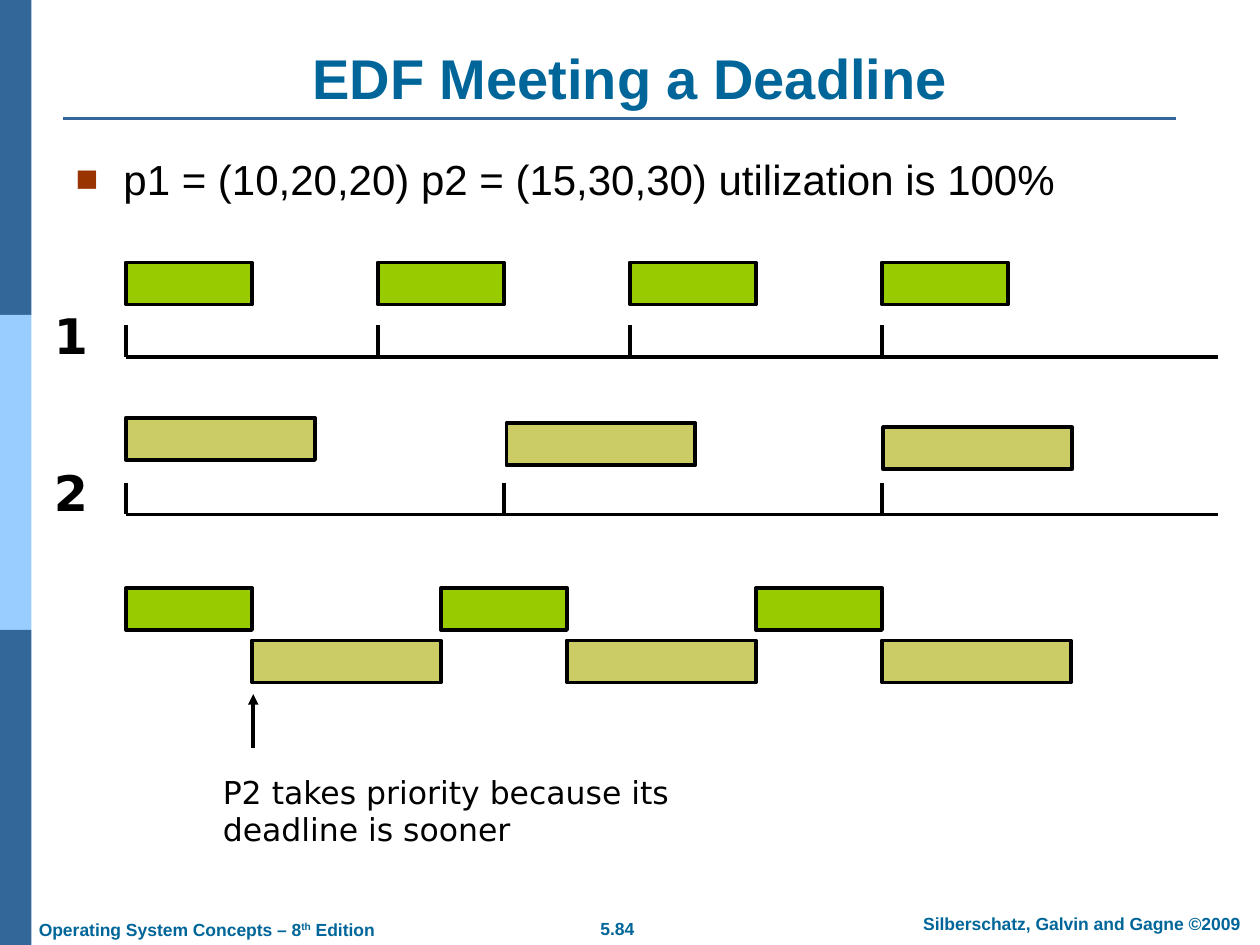
import pptx
import pptx.util
import pptx.dml.color
import pptx.enum.shapes
import pptx.enum.text
import pptx.oxml.ns
from dataclasses import dataclass
from lxml import etree

Inches = pptx.util.Inches
Pt = pptx.util.Pt
ALIGN = pptx.enum.text.PP_ALIGN
ANCHOR = pptx.enum.text.MSO_ANCHOR
qn = pptx.oxml.ns.qn


@dataclass(frozen=True)
class Theme:
    blue: str = "336699"
    sky: str = "99CCFF"
    teal: str = "006699"
    rust: str = "993300"
    green: str = "99CC00"
    khaki: str = "CCCC66"
    black: str = "000000"
    sans: str = "Arial"
    wide: str = "DejaVu Sans"
    title: int = 32
    body: int = 24
    mark: int = 28
    note: int = 18
    foot: int = 10
    thin: float = 1.5
    stem: float = 2
    edge: float = 2.25


THEME = Theme()

# One column is one inch (ten units of time); twelve rows make an inch.
COL = Inches(1)
ROW = Inches(1 / 12)
BAR = 4
TICK = 3


def grid(col, row):
    return round(col * COL), round(row * ROW)


def tint(name):
    return pptx.dml.color.RGBColor.from_string(name)


def place(shape, col, row, cols, rows):
    shape.left, shape.top = grid(col, row)
    shape.width, shape.height = grid(cols, rows)


def write(shape, text, size, font=THEME.sans, color=THEME.black, bold=False,
          align=ALIGN.LEFT, anchor=ANCHOR.TOP, wrap=True, bullet=None):
    """Text is a string, or a list of (string, raised) pairs."""
    frame = shape.text_frame
    frame.word_wrap = wrap
    frame.auto_size = pptx.enum.text.MSO_AUTO_SIZE.NONE
    frame.vertical_anchor = anchor
    para = frame.paragraphs[0]
    para.alignment = align
    para.space_before = Pt(0)
    if bullet:
        dot(para, bullet)
    parts = [(text, False)] if isinstance(text, str) else text
    for part, raised in parts:
        run = para.add_run()
        run.text = part
        run.font.name = font
        run.font.size = Pt(size)
        run.font.bold = bold
        run.font.color.rgb = tint(color)
        if raised:
            run.font._element.set("baseline", "30000")


def dot(para, char):
    props = para._p.get_or_add_pPr()
    props.set("marL", str(Inches(0.38)))
    props.set("indent", str(-Inches(0.38)))
    shade = etree.SubElement(props, qn("a:buClr"))
    etree.SubElement(shade, qn("a:srgbClr"), val=THEME.rust)
    etree.SubElement(props, qn("a:buSzPct"), val="90000")
    etree.SubElement(props, qn("a:buFont"), typeface=THEME.sans)
    etree.SubElement(props, qn("a:buChar"), char=char)


def label(slide, text, size, col, row, cols, rows, **style):
    box = slide.shapes.add_textbox(*grid(col, row), *grid(cols, rows))
    write(box, text, size, **style)


def block(slide, col, row, cols, rows, fill, edge=None):
    kind = pptx.enum.shapes.MSO_SHAPE.RECTANGLE
    shape = slide.shapes.add_shape(kind, *grid(col, row), *grid(cols, rows))
    shape.shadow.inherit = False
    shape.fill.solid()
    shape.fill.fore_color.rgb = tint(fill)
    if edge:
        shape.line.color.rgb = tint(edge)
        shape.line.width = Pt(THEME.edge)
    else:
        shape.line.fill.background()


def line(slide, start, end, color=THEME.black, width=THEME.edge, arrow=False):
    kind = pptx.enum.shapes.MSO_CONNECTOR.STRAIGHT
    link = slide.shapes.add_connector(kind, *grid(*start), *grid(*end))
    link.line.color.rgb = tint(color)
    link.line.width = Pt(width)
    if arrow:
        etree.SubElement(link.line._get_or_add_ln(), qn("a:tailEnd"), type="triangle")
    etree.SubElement(link._element.spPr, qn("a:effectLst"))


def axis(slide, name, row, starts):
    line(slide, (9.67, row), (1, row))
    for col in starts:
        line(slide, (col, row - TICK), (col, row))
    label(slide, name, THEME.mark, 0.33, row - 5.5, 0.58, 6.8,
          font=THEME.wide, bold=True)


def jobs(slide, spots, cols, fill):
    for col, row in spots:
        block(slide, col, row, cols, BAR, fill, edge=THEME.black)


def frame(slide):
    for step, fill in enumerate((THEME.blue, THEME.sky, THEME.blue)):
        block(slide, 0, step * 30, 0.25, 30, fill)
    line(slide, (0.5, 11.3), (9.33, 11.3), THEME.blue, THEME.thin)
    style = dict(color=THEME.teal, bold=True)
    label(slide, "5.84", THEME.foot, 4.41, 86.8, 0.98, 3.2,
          align=ALIGN.CENTER, wrap=False, **style)
    label(slide, "Silberschatz, Galvin and Gagne ©2009", THEME.foot,
          7.1, 86.4, 2.97, 3.2, align=ALIGN.CENTER, **style)
    edition = [("Operating System Concepts – 8", False), ("th", True),
               (" Edition", False)]
    label(slide, edition, THEME.foot, 0.21, 86.9, 2.86, 3.2, wrap=False, **style)


def main():
    deck = pptx.Presentation()
    deck.slide_width, deck.slide_height = grid(10, 90)
    slide = deck.slides.add_slide(deck.slide_layouts[1])
    frame(slide)

    title, body = slide.placeholders
    place(title, 0.5, 3.6, 9, 7.5)
    write(title, "EDF Meeting a Deadline", THEME.title, color=THEME.teal,
          bold=True, align=ALIGN.CENTER, anchor=ANCHOR.BOTTOM)
    place(body, 0.5, 14, 9, 59.5)
    write(body, "p1 = (10,20,20) p2 = (15,30,30) utilization is 100%",
          THEME.body, bullet="■")

    first = range(1, 8, 2)
    axis(slide, "1", 34, first)
    jobs(slide, [(col, 25) for col in first], 1, THEME.green)
    axis(slide, "2", 49, range(1, 8, 3))
    jobs(slide, [(1, 39.8), (4.02, 40.3), (7.01, 40.7)], 1.5, THEME.khaki)

    turns = [1 + 2.5 * turn for turn in range(3)]
    jobs(slide, [(col, 56) for col in turns], 1, THEME.green)
    jobs(slide, [(col + 1, 61) for col in turns], 1.5, THEME.khaki)

    line(slide, (2.01, 71.2), (2.01, 66.1), width=THEME.stem, arrow=True)
    label(slide, "P2 takes priority because its deadline is sooner",
          THEME.note, 1.67, 73, 3.83, 8.4, font=THEME.wide)
    deck.save("out.pptx")


if __name__ == "__main__":
    main()
